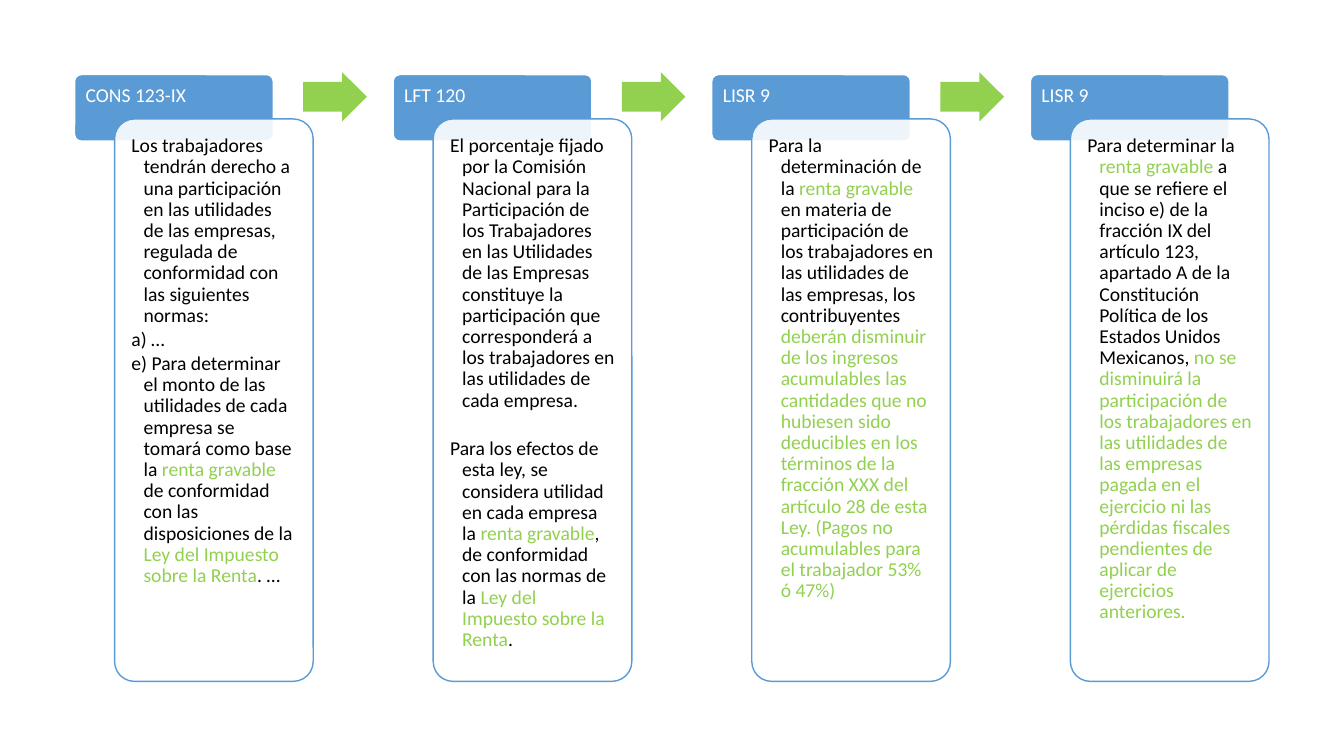
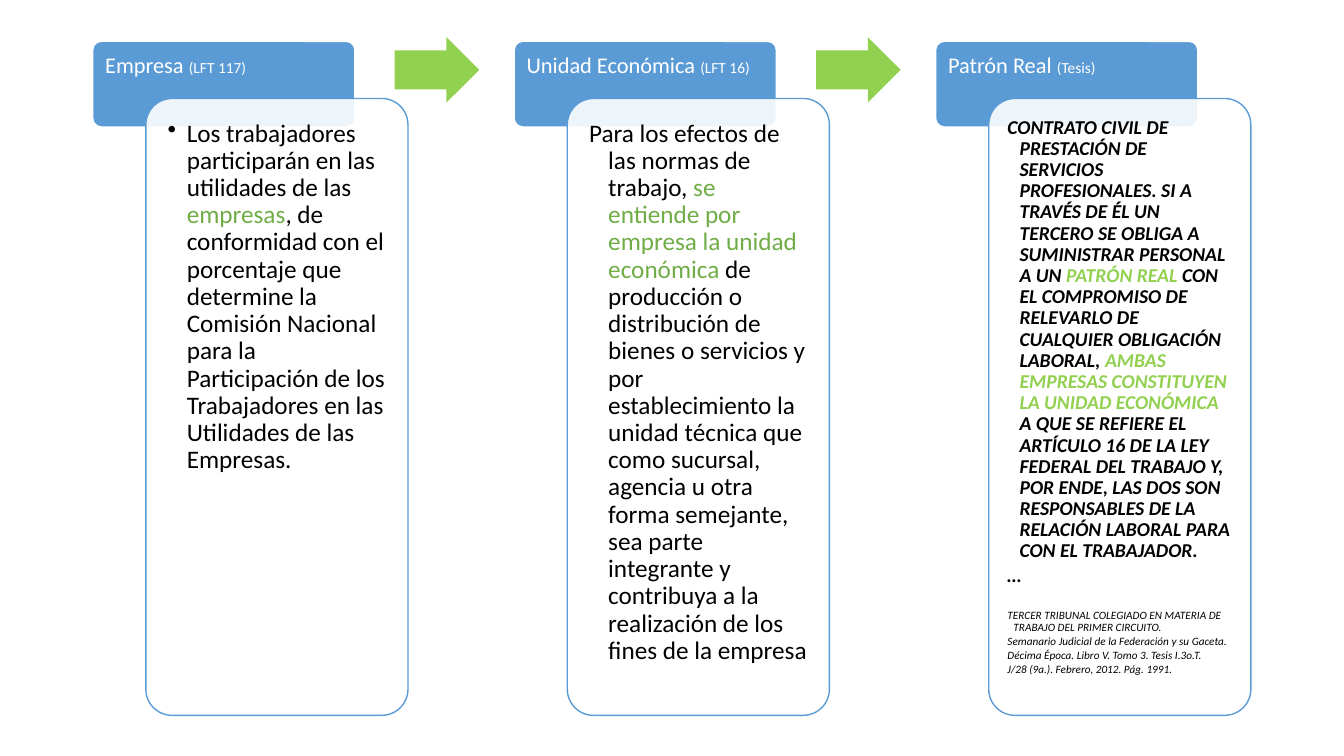
"""Build two slides of linked cards on the legal basis of profit sharing."""
import lxml.etree
import pptx
import pptx.dml.color
import pptx.enum.shapes
import pptx.enum.text
import pptx.oxml.ns
import pptx.util

SLIDE_WIDTH, SLIDE_HEIGHT = 13.33, 7.5
FONT = "Calibri"
BLUE, LIME, GREEN, WHITE, BLACK = "5B9BD5", "92D050", "70AD47", "FFFFFF", "000000"
SHAPES = pptx.enum.shapes.MSO_SHAPE

SMALL_BODY = {"size": 14, "hang": 0.12, "inset": 0.11, "accent": LIME}
LARGE_BODY = {"size": 18, "hang": 0.19, "inset": 0.14, "accent": GREEN}
RULING_BODY = {**SMALL_BODY, "bold": True, "italic": True}
CITATION = {"size": 8, "hang": 0.06, "bold": False}

LAW_GRID = {"left": 0.74, "top": 0.74, "pitch": 3.16, "width": 1.97, "header": 0.66,
            "body": 5.58, "inset": 0.09, "size": 14}
EMPLOYER_GRID = {"left": 0.92, "top": 0.41, "pitch": 4.18, "width": 2.6, "header": 0.85,
                 "body": 6.12, "inset": 0.1, "size": 16}

# Within a paragraph the plain and the accented passages alternate.
LAW_CARDS = [
    ("CONS 123-IX", "", SMALL_BODY, [
        (["Los trabajadores tendrán derecho a una participación en las utilidades de las empresas, "
          "regulada de conformidad con las siguientes normas:"], {}),
        (["a) …"], {}),
        (["e) Para determinar el monto de las utilidades de cada empresa se tomará como base la ",
          "renta gravable ", "de conformidad con las disposiciones de la ",
          "Ley del Impuesto sobre la Renta", ". …"], {}),
    ]),
    ("LFT 120", "", SMALL_BODY, [
        (["El porcentaje fijado por la Comisión Nacional para la Participación de los Trabajadores "
          "en las Utilidades de las Empresas constituye la participación que corresponderá a los "
          "trabajadores en las utilidades de cada empresa."], {}),
        (["Para los efectos de esta ley, se considera utilidad en cada empresa la ",
          "renta gravable", ", de conformidad con las normas de la ",
          "Ley del Impuesto sobre la Renta", "."], {"before": 17.5}),
    ]),
    ("LISR 9", "", SMALL_BODY, [
        (["Para la determinación de la ", "renta gravable ",
          "en materia de participación de los trabajadores en las utilidades de las empresas, "
          "los contribuyentes ",
          "deberán disminuir de los ingresos acumulables las cantidades que no hubiesen sido "
          "deducibles en los términos de la fracción XXX del artículo 28 de esta Ley. "
          "(Pagos no acumulables para el trabajador 53% ó 47%)"], {}),
    ]),
    ("LISR 9", "", SMALL_BODY, [
        (["Para determinar la ", "renta gravable ",
          "a que se refiere el inciso e) de la fracción IX del artículo 123, apartado A de la "
          "Constitución Política de los Estados Unidos Mexicanos, ",
          "no se disminuirá la participación de los trabajadores en las utilidades de las empresas "
          "pagada en el ejercicio ni las pérdidas fiscales pendientes de aplicar de ejercicios "
          "anteriores."], {}),
    ]),
]

EMPLOYER_CARDS = [
    ("Empresa ", "(LFT 117)", LARGE_BODY, [
        (["Los trabajadores participarán en las utilidades de las ", "empresas",
          ", de conformidad con el porcentaje que determine la Comisión Nacional para la "
          "Participación de los Trabajadores en las Utilidades de las Empresas."],
         {"bullet": "•"}),
    ]),
    ("Unidad Económica ", "(LFT 16)", LARGE_BODY, [
        (["Para los efectos de las normas de trabajo, ",
          "se entiende por empresa la unidad económica",
          " de producción o distribución de bienes o servicios y por establecimiento la unidad "
          "técnica que como sucursal, agencia u otra forma semejante, sea parte integrante y "
          "contribuya a la realización de los fines de la empresa"], {}),
    ]),
    ("Patrón Real ", "(Tesis)", RULING_BODY, [
        (["CONTRATO CIVIL DE PRESTACIÓN DE SERVICIOS PROFESIONALES. SI A TRAVÉS DE ÉL UN TERCERO "
          "SE OBLIGA A SUMINISTRAR PERSONAL A UN ", "PATRÓN REAL ",
          "CON EL COMPROMISO DE RELEVARLO DE CUALQUIER OBLIGACIÓN LABORAL, ",
          "AMBAS EMPRESAS CONSTITUYEN LA UNIDAD ECONÓMICA ",
          "A QUE SE REFIERE EL ARTÍCULO 16 DE LA LEY FEDERAL DEL TRABAJO Y, POR ENDE, LAS DOS SON "
          "RESPONSABLES DE LA RELACIÓN LABORAL PARA CON EL TRABAJADOR."], {}),
        (["…"], {}),
        (["TERCER TRIBUNAL COLEGIADO EN MATERIA DE TRABAJO DEL PRIMER CIRCUITO."],
         {**CITATION, "before": 15}),
        (["Semanario Judicial de la Federación y su Gaceta."], CITATION),
        (["Décima Época. Libro V. Tomo 3. Tesis I.3o.T."], CITATION),
        (["J/28 (9a.). Febrero, 2012. Pág. 1991."], CITATION),
    ]),
]


def color(value):
    """Return the colour for a hex string."""
    return pptx.dml.color.RGBColor.from_string(value)


def assign(target, values):
    """Set each attribute named in a dict of format values."""
    for name, value in values.items():
        setattr(target, name, value)


def add_panel(page, kind, area, fill, line=None, adjustments=(0.1,)):
    """Add a flat preset shape at left, top, width, height in inches."""
    panel = page.shapes.add_shape(kind, *(pptx.util.Inches(length) for length in area))
    panel.shadow.inherit = False
    for index, value in enumerate(adjustments):
        panel.adjustments[index] = value
    panel.fill.solid()
    panel.fill.fore_color.rgb = color(fill)
    if line:
        panel.line.color.rgb = color(line)
        panel.line.width = pptx.util.Pt(1)
    else:
        panel.line.fill.background()
    return panel


def set_opacity(panel, percent):
    """Make the solid fill of a shape partly transparent."""
    fill = panel.fill.fore_color and panel._element.spPr.find(pptx.oxml.ns.qn("a:solidFill"))
    alpha = lxml.etree.SubElement(fill[0], pptx.oxml.ns.qn("a:alpha"))
    alpha.set("val", str(percent * 1000))


def format_frame(panel, inset):
    """Give a shape a wrapped, top-aligned text frame and return it."""
    margin = pptx.util.Inches(inset)
    assign(panel.text_frame, {
        "word_wrap": True,
        "vertical_anchor": pptx.enum.text.MSO_ANCHOR.TOP,
        "margin_left": margin, "margin_top": margin,
        "margin_right": margin, "margin_bottom": margin,
    })
    return panel.text_frame


def add_span(para, text, shade, size, bold=False, italic=False):
    """Append a formatted run to a paragraph."""
    span = para.add_run()
    span.text = text
    assign(span.font, {"name": FONT, "size": pptx.util.Pt(size), "bold": bold, "italic": italic})
    span.font.color.rgb = color(shade)


def format_para(para, style):
    """Set the spacing, hanging indent and bullet of a body paragraph."""
    assign(para, {
        "alignment": pptx.enum.text.PP_ALIGN.LEFT,
        "line_spacing": 0.9,
        "space_after": pptx.util.Pt(style["size"] * 0.15),
    })
    if "before" in style:
        para.space_before = pptx.util.Pt(style["before"])
    properties = para._p.get_or_add_pPr()
    hang = pptx.util.Inches(style["hang"])
    properties.set("marL", str(hang))
    properties.set("indent", str(-hang))
    if "bullet" in style:
        bullet = lxml.etree.SubElement(properties, pptx.oxml.ns.qn("a:buChar"))
        bullet.set("char", style["bullet"])


def add_header(page, left, grid, title, source):
    """Add the blue header of a card with its title and source."""
    area = (left, grid["top"], grid["width"], grid["header"])
    header = add_panel(page, SHAPES.ROUNDED_RECTANGLE, area, BLUE, WHITE)
    para = format_frame(header, grid["inset"]).paragraphs[0]
    assign(para, {"alignment": pptx.enum.text.PP_ALIGN.LEFT, "line_spacing": 0.9})
    add_span(para, title, WHITE, grid["size"])
    if source:
        add_span(para, source, WHITE, 11)


def add_body(page, left, grid, style, paragraphs):
    """Add the white body of a card, overlapping its header."""
    top = grid["top"] + grid["header"] * 2 / 3
    area = (left, top, grid["width"], grid["body"])
    body = add_panel(page, SHAPES.ROUNDED_RECTANGLE, area, WHITE, BLUE)
    set_opacity(body, 90)
    frame = format_frame(body, style["inset"])
    for index, (passages, changes) in enumerate(paragraphs):
        para = frame.add_paragraph() if index else frame.paragraphs[0]
        local = {**style, **changes}
        format_para(para, local)
        for number, text in enumerate(passages):
            shade = local["accent"] if number % 2 else BLACK
            add_span(para, text, shade, local["size"],
                     local.get("bold", False), local.get("italic", False))


def add_arrow(page, left, grid, gap):
    """Add the arrow in the gap after a card, centred on the visible header."""
    height = gap * 0.41
    top = grid["top"] + grid["header"] / 3 - height / 2
    area = (left + grid["width"] + gap / 4, top, gap * 0.53, height)
    add_panel(page, SHAPES.RIGHT_ARROW, area, LIME, adjustments=(0.6, 0.5))


def add_card_row(deck, grid, cards):
    """Add a slide with a row of cards joined by arrows."""
    page = deck.slides.add_slide(deck.slide_layouts.get_by_name("Blank"))
    gap = grid["pitch"] - grid["width"]
    for column, (title, source, style, paragraphs) in enumerate(cards):
        left = grid["left"] + column * grid["pitch"]
        add_header(page, left, grid, title, source)
        add_body(page, left + gap / 3, grid, style, paragraphs)
        if column < len(cards) - 1:
            add_arrow(page, left, grid, gap)


def main():
    """Build and save the deck."""
    deck = pptx.Presentation()
    assign(deck, {"slide_width": pptx.util.Inches(SLIDE_WIDTH),
                  "slide_height": pptx.util.Inches(SLIDE_HEIGHT)})
    add_card_row(deck, LAW_GRID, LAW_CARDS)
    add_card_row(deck, EMPLOYER_GRID, EMPLOYER_CARDS)
    deck.save("out.pptx")


if __name__ == "__main__":
    main()
